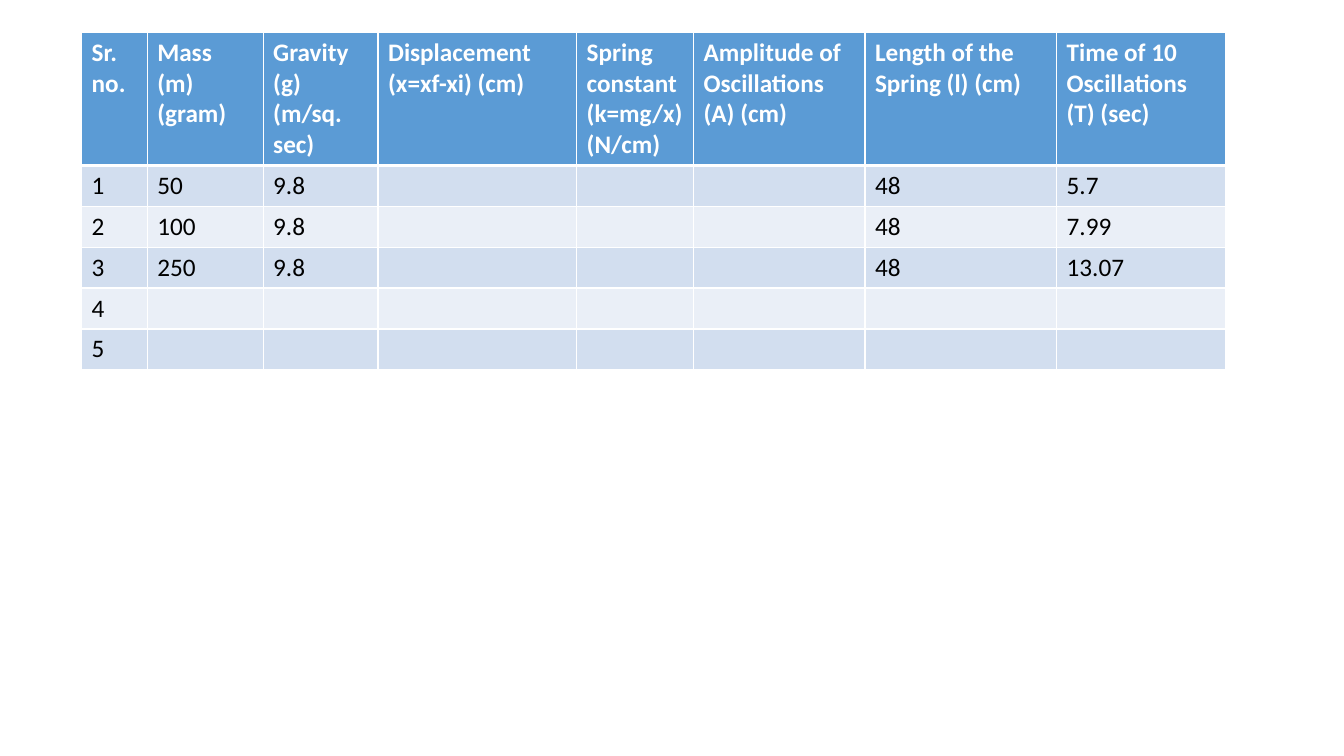
import pptx
import pptx.util
import pptx.dml.color
import pptx.oxml
import pptx.oxml.ns
import lxml.etree

Inches = pptx.util.Inches

HEADINGS = [
    "Sr. no.", "Mass (m) (gram)", "Gravity (g) (m/sq. sec)",
    "Displacement (x=xf-xi) (cm)", "Spring constant (k=mg/x) (N/cm)",
    "Amplitude of Oscillations (A) (cm)", "Length of the Spring (l) (cm)",
    "Time of 10 Oscillations (T) (sec)",
]
# Mass, gravity, spring length and time; the other columns are left to fill in
MEASUREMENTS = [
    ("50", "9.8", "48", "5.7"),
    ("100", "9.8", "48", "7.99"),
    ("250", "9.8", "48", "13.07"),
    ("", "", "", ""),
    ("", "", "", ""),
]
COLUMN_WIDTHS = [0.65, 1.15, 1.14, 1.97, 1.16, 1.7, 1.9, 1.68]
HEADER_HEIGHT, ROW_HEIGHT = 1.31, 0.405
HEADER_FILL, BAND_FILLS = "5B9BD5", ("D2DEEF", "EAEFF7")


def color(value):
    return pptx.dml.color.RGBColor.from_string(value)


def set_borders(cell, widths, line_color="FFFFFF"):
    """Draw the cell's edges; widths maps L, R, T, B to points."""
    properties = cell._tc.get_or_add_tcPr()
    for side in "LRTB":
        line = lxml.etree.SubElement(properties, pptx.oxml.ns.qn("a:ln" + side))
        line.set("w", str(pptx.util.Pt(widths.get(side, 1))))
        fill = lxml.etree.SubElement(line, pptx.oxml.ns.qn("a:solidFill"))
        lxml.etree.SubElement(fill, pptx.oxml.ns.qn("a:srgbClr")).set("val", line_color)


def fill_cell(cell, text, fill, text_color, bold, borders):
    set_borders(cell, borders)
    cell.fill.solid()
    cell.fill.fore_color.rgb = color(fill)
    cell.text_frame.text = text
    for span in cell.text_frame.paragraphs[0].runs:
        span.font.name = "Calibri"
        span.font.size = pptx.util.Pt(18)
        span.font.bold = bold
        span.font.color.rgb = color(text_color)


def add_readings_table(page, left, top, width):
    rows = [HEADINGS]
    for number, (mass, gravity, length, time) in enumerate(MEASUREMENTS, 1):
        rows.append([str(number), mass, gravity, "", "", "", length, time])
    height = HEADER_HEIGHT + ROW_HEIGHT * len(MEASUREMENTS)
    table = page.shapes.add_table(
        len(rows), len(HEADINGS),
        Inches(left), Inches(top), Inches(width), Inches(height)).table

    # Column widths share out the table width
    for column, share in zip(table.columns, COLUMN_WIDTHS):
        column.width = Inches(width * share / sum(COLUMN_WIDTHS))

    # Header row, then banded rows
    for index, texts in enumerate(rows):
        header = index == 0
        table.rows[index].height = Inches(HEADER_HEIGHT if header else ROW_HEIGHT)
        fill = HEADER_FILL if header else BAND_FILLS[(index - 1) % 2]
        borders = {0: {"B": 3}, 1: {"T": 3}}.get(index, {})
        for cell, text in zip(table.rows[index].cells, texts):
            fill_cell(cell, text, fill, "FFFFFF" if header else "000000", header, borders)


deck = pptx.Presentation()
deck.slide_width, deck.slide_height = Inches(13.33), Inches(7.5)
page = deck.slides.add_slide(deck.slide_layouts[6])
add_readings_table(page, 0.81, 0.32, 11.35)
deck.save("out.pptx")
